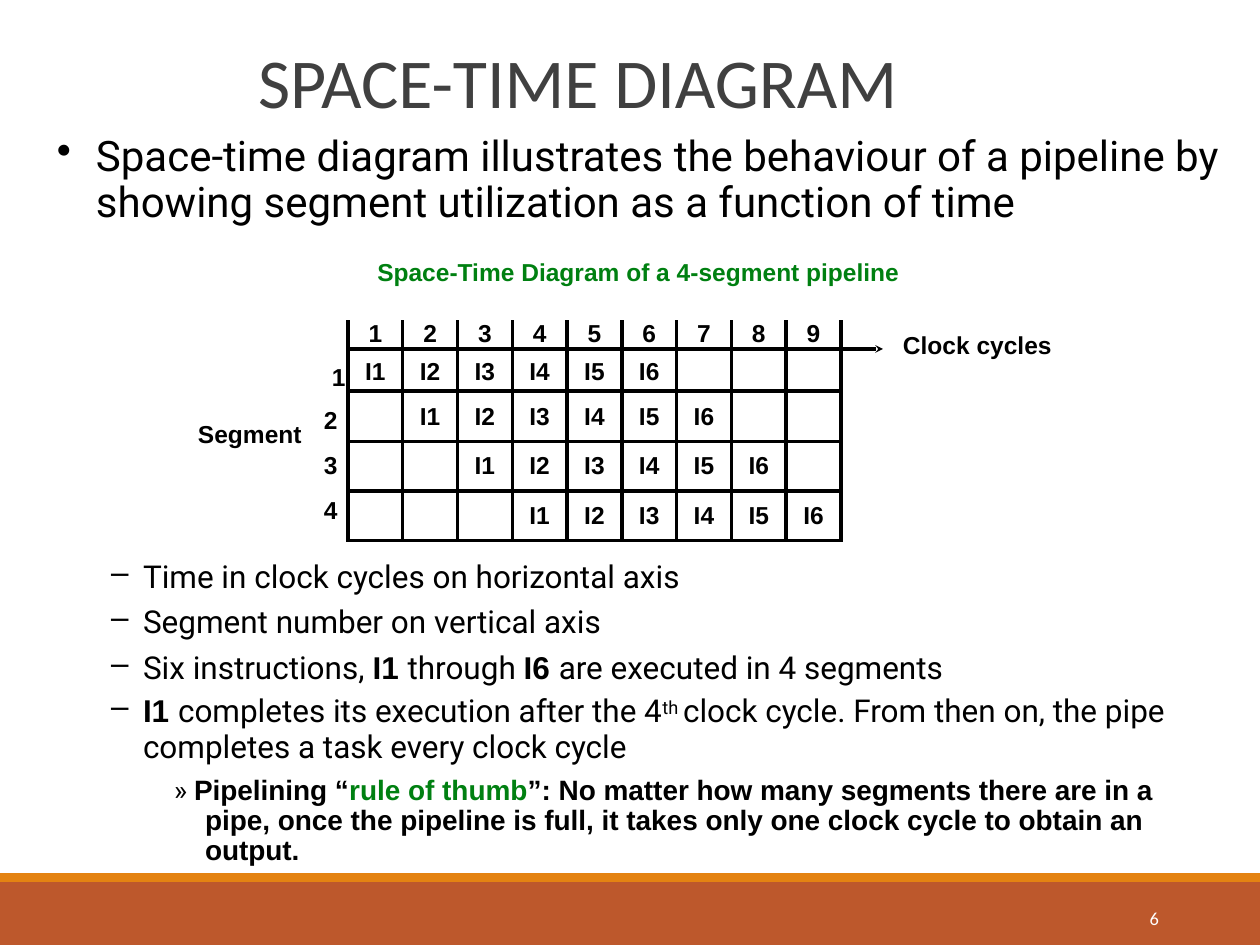
from lxml import etree
from pptx import Presentation
from pptx.dml.color import RGBColor
from pptx.enum.shapes import MSO_CONNECTOR, MSO_SHAPE
from pptx.enum.text import MSO_ANCHOR, PP_ALIGN
from pptx.oxml.ns import qn
from pptx.util import Emu, Pt

CENTER, RIGHT = PP_ALIGN.CENTER, PP_ALIGN.RIGHT
TOP, MIDDLE, BOTTOM = MSO_ANCHOR.TOP, MSO_ANCHOR.MIDDLE, MSO_ANCHOR.BOTTOM
RECTANGLE, STRAIGHT = MSO_SHAPE.RECTANGLE, MSO_CONNECTOR.STRAIGHT

PX_PER_INCH = 126
COLORS = {"ink": "000000", "title": "404040", "green": "008011",
          "rust": "BD582C", "orange": "E48312", "white": "FFFFFF"}

LABEL = {"size": 14, "name": "Arial", "bold": True, "color": "ink"}
LABEL_GREEN = {**LABEL, "color": "green"}
LEAD = {"size": 24, "name": "Roboto", "color": "ink"}
BODY = {**LEAD, "size": 18}
BODY_BOLD = {**LABEL, "size": 18}
BODY_SUPER = {**BODY, "baseline": "25000"}
MARK = {**LEAD, "size": 16}
NOTE = {**LABEL, "size": 16}
NOTE_GREEN = {**NOTE, "color": "green"}
TITLE = {"size": 40, "name": "Calibri", "color": "title"}
NUMBER = {"size": 10.5, "name": "Calibri", "color": "white"}

DASH = {"margin": 37, "indent": -32, "bullet": "–"}
DASH_NEXT = {**DASH, "space_before": Pt(4.3)}

BANDS = [("rust", (0, 882, 1260, 63)), ("orange", (0, 873, 1260, 9))]

TEXT_BOXES = [
    {"at": (1023, 890, 136, 50), "inset": 0, "anchor": MIDDLE, "paragraphs": [
        ({"alignment": RIGHT, "line_spacing": Pt(16.5)}, [("6", NUMBER)])]},
    {"at": (0, 36, 1040, 87), "inset": 1, "anchor": BOTTOM, "paragraphs": [
        ({"margin": 258}, [("SPACE-TIME DIAGRAM", TITLE)])]},
    {"at": (54, 127, 1169, 262), "inset": 8, "anchor": TOP, "paragraphs": [
        ({"margin": 42, "indent": -39, "bullet": "•", "line_spacing": Pt(25.9)},
         [("Space-time diagram illustrates the behaviour of a pipeline by "
           "showing segment utilization as a function of time", LEAD)]),
        ({"alignment": CENTER, "space_before": Pt(18.1)},
         [("Space-Time Diagram of a 4-segment pipeline", LABEL_GREEN)]),
        ({"margin": 849, "space_before": Pt(25)}, [("Clock cycles", LABEL)]),
        ({"margin": 278, "space_before": Pt(1)}, [("1", LABEL)])]},
    {"at": (197, 418, 107, 33), "inset": 1, "anchor": TOP, "paragraphs": [
        ({"margin": 1}, [("Segment", LABEL)])]},
    {"at": (323, 387, 18, 139), "inset": 18, "anchor": TOP, "paragraphs": [
        ({"margin": 1}, [("2", LABEL)]),
        ({"margin": 1, "space_before": Pt(9)}, [("3", LABEL)]),
        ({"margin": 1, "space_before": Pt(9)}, [("4", LABEL)])]},
    {"at": (106, 548, 1067, 320), "inset": 9, "anchor": TOP, "paragraphs": [
        (DASH, [("Time in clock cycles on horizontal axis", BODY)]),
        (DASH_NEXT, [("Segment number on vertical axis", BODY)]),
        (DASH_NEXT, [("Six instructions, ", BODY), ("I1 ", BODY_BOLD),
                     ("through ", BODY), ("I6 ", BODY_BOLD),
                     ("are executed in 4 segments", BODY)]),
        ({**DASH_NEXT, "line_spacing": Pt(20.6)},
         [("I1 ", BODY_BOLD), ("completes its execution after the 4", BODY),
          ("th ", BODY_SUPER), ("clock cycle. From then on, the pipe", BODY)]),
        ({"margin": 37, "line_spacing": Pt(20.6)},
         [("completes a task every clock cycle", BODY)]),
        ({"margin": 99, "indent": -31, "line_spacing": Pt(17.3),
          "space_before": Pt(6.1)},
         [("» ", MARK), ("Pipelining “", NOTE), ("rule of thumb", NOTE_GREEN),
          ("”: No matter how many segments there are in a pipe, once the "
           "pipeline is full, it takes only one clock cycle to obtain an "
           "output.", NOTE)])]},
]

CYCLES, INSTRUCTIONS = 9, 6
GRID_AT = (348, 320)
GRID_WIDTH = 493
ROW_HEIGHTS = [71, 45, 43, 43]
ROW_INSETS = [0, 12, 11, 11]
ARROW = (349, 349, 883, 349)


def px(value):
    return Emu(round(value * 914400 / PX_PER_INCH))


def px_all(values):
    return [px(value) for value in values]


def rgb(name):
    return RGBColor.from_string(COLORS[name])


def add_run(paragraph, text, style):
    run = paragraph.add_run()
    run.text = text
    for key, value in style.items():
        if key == "color":
            run.font.color.rgb = rgb(value)
        elif key == "baseline":
            run._r.get_or_add_rPr().set(key, value)
        else:
            setattr(run.font, key, Pt(value) if key == "size" else value)


def fill_text(frame, paragraphs):
    for index, (layout, runs) in enumerate(paragraphs):
        paragraph = frame.add_paragraph() if index else frame.paragraphs[0]
        properties = paragraph._p.get_or_add_pPr()
        for key, value in layout.items():
            if key == "margin":
                properties.set("marL", str(px(value)))
            elif key == "indent":
                properties.set("indent", str(px(value)))
            elif key != "bullet":
                setattr(paragraph, key, value)
        if "bullet" in layout:
            etree.SubElement(properties, qn("a:buChar"), char=layout["bullet"])
        for text, style in runs:
            add_run(paragraph, text, style)


def set_insets(target, top):
    target.margin_left = target.margin_right = target.margin_bottom = 0
    target.margin_top = px(top)


def add_text_box(slide, box):
    frame = slide.shapes.add_textbox(*px_all(box["at"])).text_frame
    frame.word_wrap = True
    frame.vertical_anchor = box["anchor"]
    set_insets(frame, box["inset"])
    fill_text(frame, box["paragraphs"])


def add_band(slide, color, box):
    band = slide.shapes.add_shape(RECTANGLE, *px_all(box))
    band.shadow.inherit = False
    band.fill.solid()
    band.fill.fore_color.rgb = rgb(color)
    band.line.fill.background()


def set_borders(cell, sides):
    properties = cell._tc.get_or_add_tcPr()
    for side in "LRTB":
        border = etree.SubElement(properties, qn(f"a:ln{side}"), w=str(Pt(2.25)))
        if side in sides:
            fill = etree.SubElement(border, qn("a:solidFill"))
            etree.SubElement(fill, qn("a:srgbClr"), val=COLORS["ink"])
        else:
            etree.SubElement(border, qn("a:noFill"))


def add_grid(slide):
    table = slide.shapes.add_table(
        len(ROW_HEIGHTS), CYCLES, *px_all(GRID_AT), px(GRID_WIDTH),
        px(sum(ROW_HEIGHTS))).table
    table.first_row = table.horz_banding = False
    for column in table.columns:
        column.width = px(GRID_WIDTH / CYCLES)
    for segment, height in enumerate(ROW_HEIGHTS):
        table.rows[segment].height = px(height)
        for cycle in range(CYCLES):
            cell = table.cell(segment, cycle)
            set_insets(cell, ROW_INSETS[segment])
            set_borders(cell, "LRTB" if segment else "LRB")
            cell.fill.background()
            paragraphs = []
            if segment == 0:
                paragraphs.append(({"alignment": CENTER, "line_spacing": Pt(16)},
                                   [(str(cycle + 1), LABEL)]))
            instruction = cycle - segment + 1
            if 1 <= instruction <= INSTRUCTIONS:
                layout = {"alignment": CENTER}
                if segment == 0:
                    layout["space_before"] = Pt(5.8)
                paragraphs.append((layout, [(f"I{instruction}", LABEL)]))
            fill_text(cell.text_frame, paragraphs)


def add_arrow(slide):
    arrow = slide.shapes.add_connector(STRAIGHT, *px_all(ARROW))
    arrow.line.width = Pt(2.25)
    arrow.line.color.rgb = rgb("ink")
    etree.SubElement(arrow.line._get_or_add_ln(), qn("a:tailEnd"),
                     type="stealth", w="sm", len="sm")
    etree.SubElement(arrow._element.spPr, qn("a:effectLst"))


def main():
    presentation = Presentation()
    presentation.slide_width, presentation.slide_height = px(1260), px(945)
    slide = presentation.slides.add_slide(presentation.slide_layouts[6])
    for color, box in BANDS:
        add_band(slide, color, box)
    add_arrow(slide)
    add_grid(slide)
    for box in TEXT_BOXES:
        add_text_box(slide, box)
    presentation.save("out.pptx")


if __name__ == "__main__":
    main()
